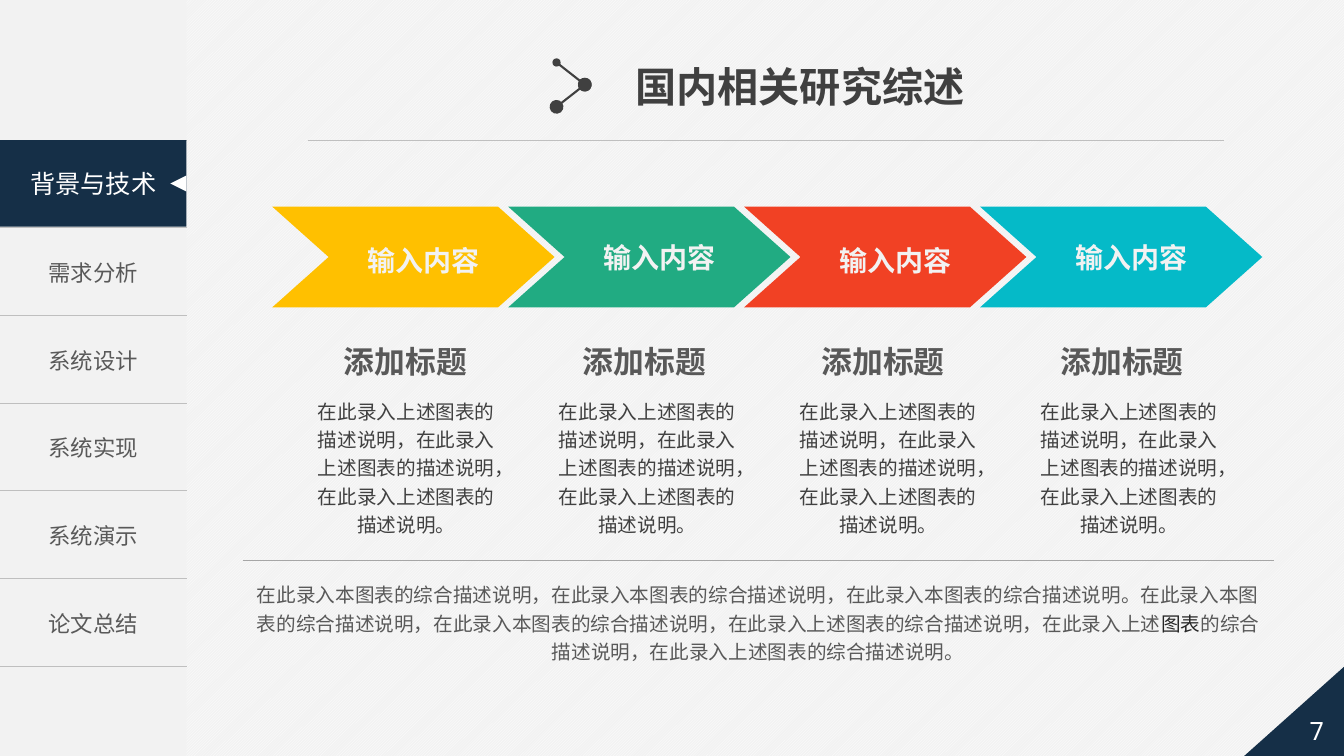
from lxml import etree
from pptx import Presentation
from pptx import util as u
from pptx.dml.color import RGBColor
from pptx.enum import dml, shapes, text
from pptx.oxml.ns import qn

# Content
TITLE = "国内相关研究综述"
CURRENT = "背景与技术"
CHAPTERS = ["需求分析", "系统设计", "系统实现", "系统演示", "论文总结"]
DETAIL = "在此录入上述图表的描述说明，在此录入上述图表的描述说明，在此录入上述图表的描述说明。"
STEPS = [  # arrow label, colour, label line spacing, heading, detail
    ("输入内容", "FFC000", 1.2, "添加标题", DETAIL),
    ("输入内容", "21AB82", 1.0, "添加标题", DETAIL),
    ("输入内容", "F14124", 1.2, "添加标题", DETAIL),
    ("输入内容", "05BAC8", 1.0, "添加标题", DETAIL),
]
SUMMARY = [
    ("在此录入本图表的综合描述说明，在此录入本图表的综合描述说明，在此录入本图表的综合描述说明。"
     "在此录入本图表的综合描述说明，在此录入本图表的综合描述说明，在此录入上述图表的综合描述说明，"
     "在此录入上述", "595959"),
    ("图表", "262626"),
    ("的综合描述说明，在此录入上述图表的综合描述说明。", "595959"),
]
PAGE = "7"

# Grid and palette
WIDTH, HEIGHT = 13.33, 7.5
SIDE, MENU_TOP, ROW = 1.85, 1.39, 0.87
ARROW_LEFT, ARROW_TOP, ARROW_PITCH = 2.7, 2.05, 2.34
ARROW_W, ARROW_H, ARROW_TIP = 2.8, 1.0, 0.56
LABEL_MID, LABEL_W = 1.5, 2.4
HEADING_MID, HEADING_PITCH, HEADING_W = 4.02, 2.37, 1.44
DETAIL_MID, DETAIL_PITCH, DETAIL_W = 4.03, 2.39, 2.07
NAVY, PALE, RULE, WHITE = "152F47", "F2F2F2", "BFBFBF", "FFFFFF"
GREY, DARK = "595959", "404040"
SANS = "Noto Sans CJK SC"
CENTER, LEFT = text.PP_ALIGN.CENTER, text.PP_ALIGN.LEFT
TOP, MIDDLE = text.MSO_ANCHOR.TOP, text.MSO_ANCHOR.MIDDLE


def rgb(value):
    return RGBColor.from_string(value)


def inches(*lengths):
    return [u.Inches(length) for length in lengths]


def write(frame, runs, size, font=SANS, bold=False, align=CENTER,
          anchor=MIDDLE, spacing=1.0, wrap=True, grow=False):
    frame.word_wrap = wrap
    frame.vertical_anchor = anchor
    if grow:
        frame.auto_size = text.MSO_AUTO_SIZE.SHAPE_TO_FIT_TEXT
    line = frame.paragraphs[0]
    line.alignment, line.line_spacing = align, spacing
    for words, colour in runs:
        run = line.add_run()
        run.text = words
        run.font.size, run.font.bold, run.font.name = u.Pt(size), bold, font
        run.font.color.rgb = rgb(colour)
        etree.SubElement(run._r.get_or_add_rPr(), qn("a:ea"), typeface=SANS)


def paint(shape, colour):
    shape.shadow.inherit = False
    shape.line.fill.background()
    if colour:
        shape.fill.solid()
        shape.fill.fore_color.rgb = rgb(colour)
    else:
        shape.fill.background()
    return shape


def block(kind, at, colour, flip=False):
    shape = slide.shapes.add_shape(kind, *inches(*at))
    if flip:
        shape._element.spPr.find(qn("a:xfrm")).set("flipH", "1")
    return paint(shape, colour)


def words_box(at, runs, size, **style):
    box = slide.shapes.add_textbox(*inches(*at))
    write(box.text_frame, runs, size, grow=True, **style)


def rule(start, end, colour, width, dots=()):
    line = slide.shapes.add_connector(shapes.MSO_CONNECTOR.STRAIGHT, *inches(*start, *end))
    line.line.color.rgb, line.line.width = rgb(colour), u.Pt(width)
    ends = line.line._get_or_add_ln()
    for tag, dot in zip(("a:headEnd", "a:tailEnd"), dots):
        etree.SubElement(ends, qn(tag), type="oval", w=dot, len=dot)
    etree.SubElement(line._element.spPr, qn("a:effectLst"))


def border_cell(cell):
    cell.fill.background()
    props = cell._tc.get_or_add_tcPr()
    for place, side in enumerate("LRTB"):
        edge = etree.Element(qn(f"a:ln{side}"), w=str(u.Pt(1)))
        if side in "TB":
            solid = etree.SubElement(edge, qn("a:solidFill"))
            etree.SubElement(solid, qn("a:srgbClr"), val=RULE)
        else:
            etree.SubElement(edge, qn("a:noFill"))
        props.insert(place, edge)


prs = Presentation()
prs.slide_width, prs.slide_height = inches(WIDTH, HEIGHT)
slide = prs.slides.add_slide(prs.slide_layouts[5])

# Striped background
stripes = slide.background.fill
stripes.patterned()
stripes.pattern = dml.MSO_PATTERN.LIGHT_UPWARD_DIAGONAL
stripes.fore_color.rgb, stripes.back_color.rgb = rgb(WHITE), rgb(PALE)

# Side menu: the current chapter covers the first, empty row
block(shapes.MSO_SHAPE.RECTANGLE, (0, 0, SIDE, HEIGHT), PALE)
rows = len(CHAPTERS) + 1
menu = slide.shapes.add_table(rows, 1, *inches(0, MENU_TOP, SIDE, ROW * rows)).table
menu.first_row = menu.horz_banding = False
for row, chapter in enumerate([""] + CHAPTERS):
    cell = menu.cell(row, 0)
    border_cell(cell)
    if chapter:
        cell.vertical_anchor = MIDDLE
        write(cell.text_frame, [(chapter, GREY)], 16)
current = block(shapes.MSO_SHAPE.RECTANGLE, (0, MENU_TOP, SIDE, 0.86), NAVY)
write(current.text_frame, [(CURRENT, WHITE)], 18)
pointer = block(shapes.MSO_SHAPE.ISOSCELES_TRIANGLE, (SIDE - 0.16, 1.74, 0.16, 0.16), WHITE)
pointer.rotation = 270

# Title with its linked dots and rule
heading = slide.shapes.title
heading.left, heading.top, heading.width, heading.height = inches(6.2, 0.56, 3.5, 0.59)
write(heading.text_frame, [(TITLE, DARK)], 29.4, font="Arial", bold=True,
      align=LEFT, anchor=TOP, wrap=False, grow=True)
rule((5.52, 0.62), (5.8, 0.84), DARK, 1.5, ("med", "lg"))
rule((5.8, 0.84), (5.52, 1.06), DARK, 1.5, ("lg", "lg"))
rule((3.05, MENU_TOP), (12.14, MENU_TOP), RULE, 0.5)

# Page corner
block(shapes.MSO_SHAPE.RIGHT_TRIANGLE, (12.33, 6.58, 1.04, 0.93), NAVY, flip=True)
page = block(shapes.MSO_SHAPE.PENTAGON, (12.45, 6.97, 1.08, 0.55), None, flip=True)
write(page.text_frame, [(PAGE, WHITE)], 18, font="Noto Sans Mono")

# Four steps: arrow, label, heading, detail
for i, (label, colour, spacing, name, detail) in enumerate(STEPS):
    left = ARROW_LEFT + ARROW_PITCH * i
    shoulder, middle = left + ARROW_W - ARROW_TIP, ARROW_TOP + ARROW_H / 2
    bottom = ARROW_TOP + ARROW_H
    outline = slide.shapes.build_freeform(*inches(left, ARROW_TOP))
    outline.add_line_segments([inches(*point) for point in (
        (shoulder, ARROW_TOP), (left + ARROW_W, middle), (shoulder, bottom),
        (left, bottom), (left + ARROW_TIP, middle))])
    paint(outline.convert_to_shape(), colour)
    words_box((left + LABEL_MID - LABEL_W / 2, middle - 0.22, LABEL_W, 0.44),
              [(label, PALE)], 20, font="Arial", bold=True, spacing=spacing)
    words_box((HEADING_MID + HEADING_PITCH * i - HEADING_W / 2, 3.35, HEADING_W, 0.47),
              [(name, GREY)], 22, bold=True, anchor=TOP, wrap=False)
    words_box((DETAIL_MID + DETAIL_PITCH * i - DETAIL_W / 2, 3.87, DETAIL_W, 1.51),
              [(detail, DARK)], 14, anchor=TOP, spacing=1.2)

# Summary under its rule
rule((2.41, 5.56), (12.64, 5.56), "A6A6A6", 0.5)
words_box((2.39, 5.69, 10.26, 0.95), SUMMARY, 14, anchor=TOP, spacing=1.2)

prs.save("out.pptx")
